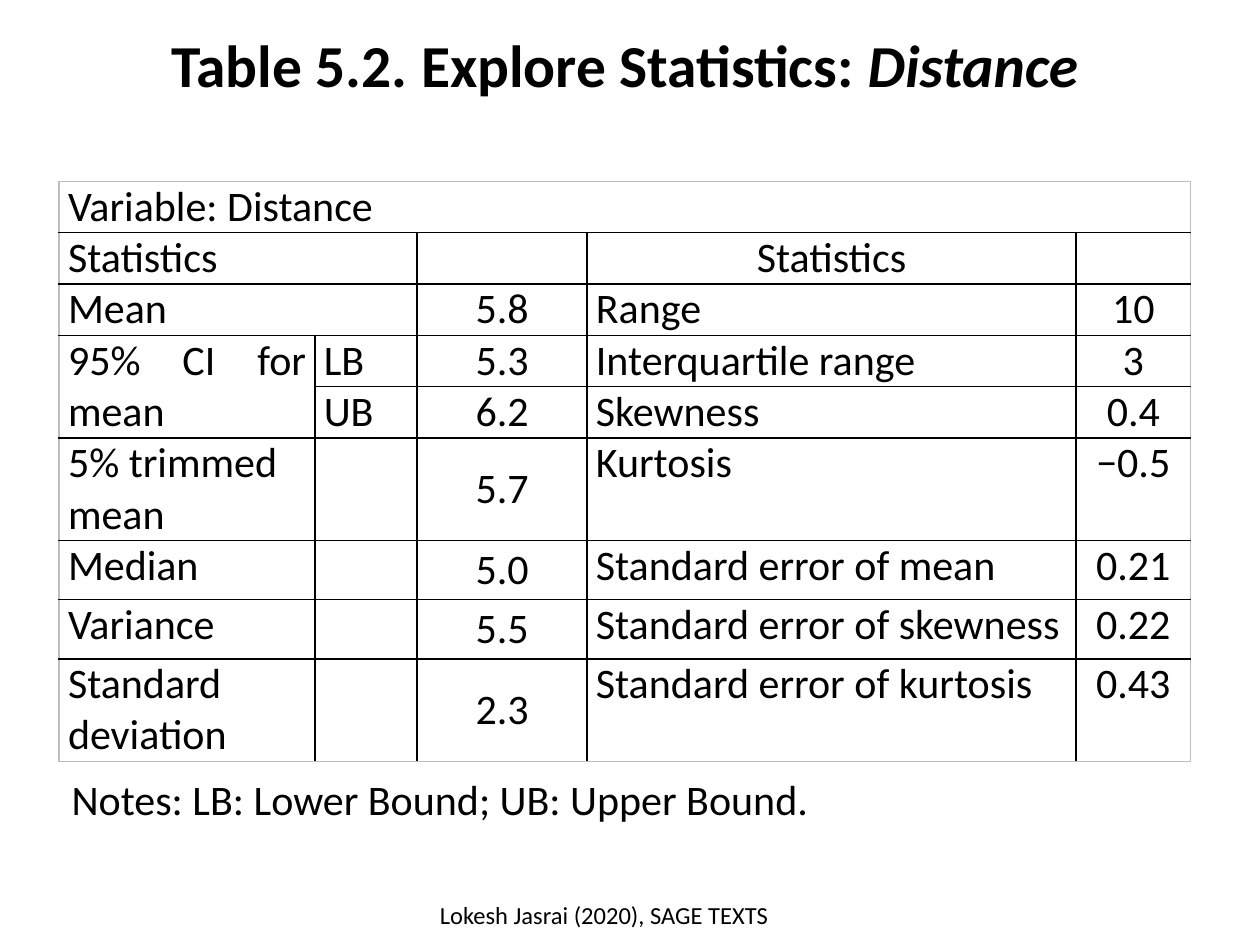
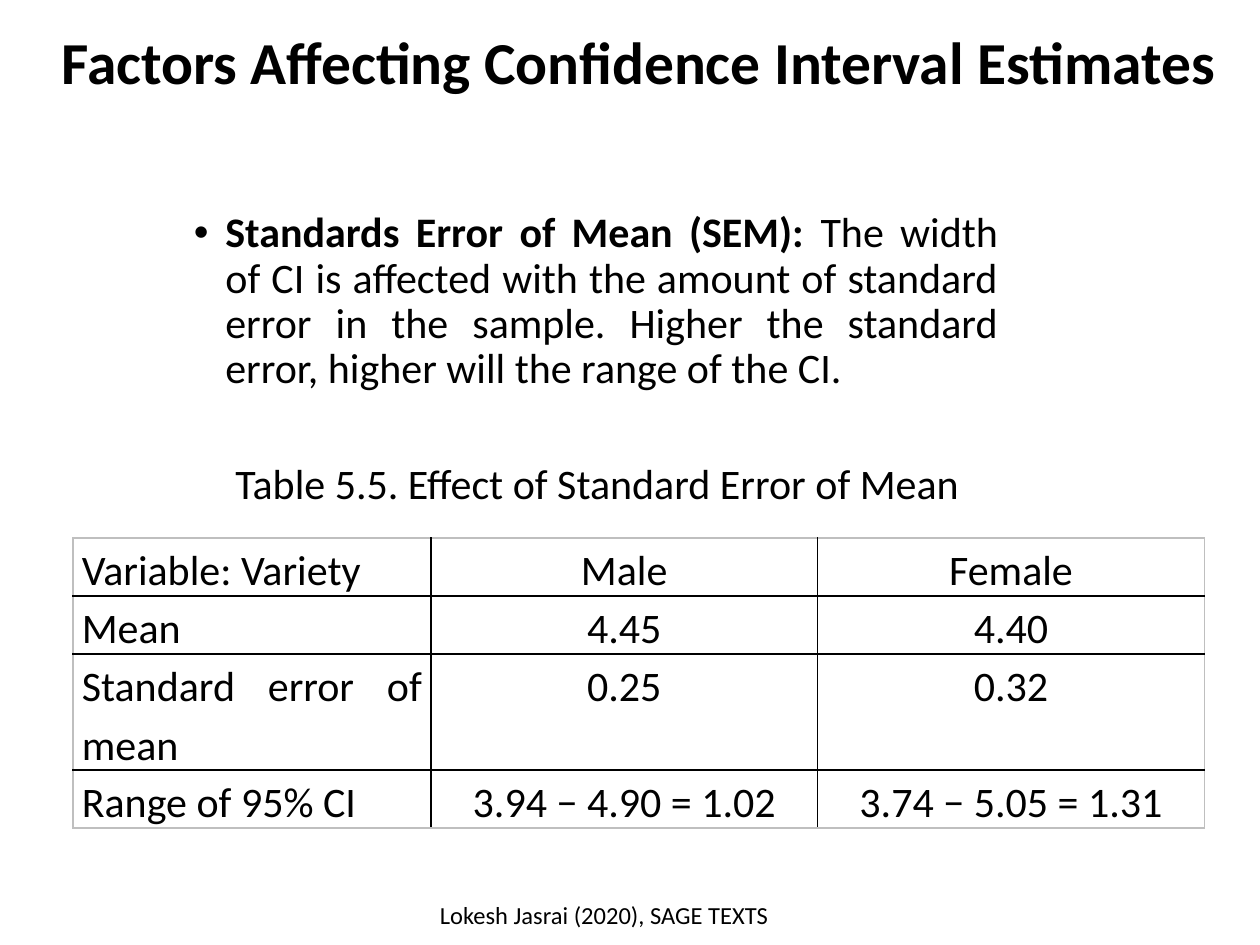
from dataclasses import dataclass, field

from lxml import etree
from pptx import Presentation
from pptx.dml.color import RGBColor
from pptx.enum.text import MSO_ANCHOR as ANCHOR, PP_ALIGN as ALIGN
from pptx.oxml.ns import qn
from pptx.util import Inches, Pt

FONT = "Calibri"
INK = "000000"
FRAME = "BFBFBF"
TITLE_SIZE, BODY_SIZE, FOOTER_SIZE = 34, 24, 14
FOOTER_TEXT = "Lokesh Jasrai (2020), SAGE TEXTS"


@dataclass
class Run:
    text: str
    bold: bool = False
    italic: bool = False


@dataclass
class Label:
    box: tuple[float, float, float, float]
    runs: list[Run]
    size: int = BODY_SIZE
    align: ALIGN = ALIGN.LEFT
    anchor: ANCHOR = ANCHOR.TOP
    wrap: bool = True
    line_spacing: float = 1.0
    bullet: bool = False


@dataclass
class Grid:
    left: float
    top: float
    cols: list[float]
    row_heights: list[float]
    rows: list[list[str]]
    aligns: list[ALIGN]
    line_spacing: float = 1.0
    middle_col: int | None = None
    merges: list[tuple[int, int, int, int]] = field(default_factory=list)
    align_overrides: dict[tuple[int, int], ALIGN] = field(default_factory=dict)


def color(value: str) -> RGBColor:
    return RGBColor.from_string(value)


def style_run(r, size: int, bold: bool = False, italic: bool = False) -> None:
    r.font.name = FONT
    r.font.size = Pt(size)
    r.font.bold = bold
    r.font.italic = italic
    r.font.color.rgb = color(INK)


def add_bullet(p) -> None:
    pPr = p._p.get_or_add_pPr()
    pPr.set("marL", str(Inches(0.25)))
    pPr.set("indent", str(-Inches(0.25)))
    etree.SubElement(pPr, qn("a:buFont"), typeface="Arial")
    etree.SubElement(pPr, qn("a:buChar"), char="•")


def add_label(s, label: Label) -> None:
    tf = s.shapes.add_textbox(*map(Inches, label.box)).text_frame
    tf.word_wrap = label.wrap
    tf.vertical_anchor = label.anchor
    p = tf.paragraphs[0]
    if label.bullet:
        add_bullet(p)
    p.alignment = label.align
    p.line_spacing = label.line_spacing
    for run in label.runs:
        r = p.add_run()
        r.text = run.text
        style_run(r, label.size, run.bold, run.italic)


def add_border(cell, side: str, line_color: str) -> None:
    ln = etree.SubElement(cell._tc.get_or_add_tcPr(), qn(f"a:ln{side}"), w=str(Pt(1)))
    fill = etree.SubElement(ln, qn("a:solidFill"))
    etree.SubElement(fill, qn("a:srgbClr"), val=line_color)


def add_grid(s, grid: Grid) -> None:
    n_rows, n_cols = len(grid.rows), len(grid.cols)
    table = s.shapes.add_table(
        n_rows, n_cols, Inches(grid.left), Inches(grid.top),
        Inches(sum(grid.cols)), Inches(sum(grid.row_heights)),
    ).table
    table.first_row = table.horz_banding = False
    for column, width in zip(table.columns, grid.cols):
        column.width = Inches(width)
    for row, height in zip(table.rows, grid.row_heights):
        row.height = Inches(height)
    for top, left, bottom, right in grid.merges:
        table.cell(top, left).merge(table.cell(bottom, right))

    for i, texts in enumerate(grid.rows):
        for j, text in enumerate(texts):
            cell = table.cell(i, j)
            if cell.is_spanned:
                continue
            width = cell.span_width if cell.is_merge_origin else 1
            height = cell.span_height if cell.is_merge_origin else 1
            outer = {"L": j == 0, "R": j + width == n_cols,
                     "T": i == 0, "B": i + height == n_rows}
            for side, on_frame in outer.items():
                add_border(cell, side, FRAME if on_frame else INK)
            cell.fill.background()
            cell.margin_left = cell.margin_right = Inches(0.07)
            cell.margin_top = cell.margin_bottom = 0
            if j == grid.middle_col:
                cell.vertical_anchor = ANCHOR.MIDDLE
            if text:
                cell.text_frame.text = text
                p = cell.text_frame.paragraphs[0]
                p.alignment = grid.align_overrides.get((i, j), grid.aligns[j])
                p.line_spacing = grid.line_spacing
                style_run(p.runs[0], BODY_SIZE)


def add_slide(prs, labels: list[Label], grid: Grid) -> None:
    s = prs.slides.add_slide(prs.slide_layouts[6])
    add_grid(s, grid)
    footer = Label((3.01, 7.09, 3.57, 0.4), [Run(FOOTER_TEXT)], FOOTER_SIZE, ALIGN.CENTER)
    for label in [*labels, footer]:
        add_label(s, label)


def add_explore_slide(prs) -> None:
    title = Label(
        (1.22, 0.17, 7.48, 0.67),
        [Run("Table 5.2. Explore Statistics: ", bold=True),
         Run("Distance", bold=True, italic=True)],
        TITLE_SIZE, ALIGN.CENTER, ANCHOR.MIDDLE, wrap=False,
    )
    notes = Label((0.47, 6.09, 6.1, 0.5),
                  [Run("Notes: LB: Lower Bound; UB: Upper Bound.")], wrap=False)
    statistics = Grid(
        0.47, 1.44,
        cols=[2.03, 0.81, 1.35, 3.88, 0.91],
        row_heights=[0.4] * 5 + [0.8, 0.47, 0.47, 0.8],
        rows=[
            ["Variable: Distance", "", "", "", ""],
            ["Statistics", "", "", "Statistics", ""],
            ["Mean", "", "5.8", "Range", "10"],
            ["95% CI for mean", "LB", "5.3", "Interquartile range", "3"],
            ["", "UB", "6.2", "Skewness", "0.4"],
            ["5% trimmed mean", "", "5.7", "Kurtosis", "−0.5"],
            ["Median", "", "5.0", "Standard error of mean", "0.21"],
            ["Variance", "", "5.5", "Standard error of skewness", "0.22"],
            ["Standard deviation", "", "2.3", "Standard error of kurtosis", "0.43"],
        ],
        aligns=[ALIGN.LEFT, ALIGN.LEFT, ALIGN.CENTER, ALIGN.LEFT, ALIGN.CENTER],
        middle_col=2,
        merges=[(0, 0, 0, 4), (1, 0, 1, 1), (2, 0, 2, 1), (3, 0, 4, 0)],
        align_overrides={(1, 3): ALIGN.CENTER, (3, 0): ALIGN.JUSTIFY},
    )
    add_slide(prs, [title, notes], statistics)


def add_factors_slide(prs) -> None:
    title = Label(
        (0.34, 0.21, 9.45, 0.59),
        [Run("Factors Affecting Confidence Interval Estimates", bold=True)],
        TITLE_SIZE, ALIGN.CENTER, line_spacing=0.9,
    )
    factor = Label(
        (1.44, 1.63, 6.58, 1.45),
        [Run("Standards Error of Mean (SEM):", bold=True),
         Run(" The width of CI is affected with the amount of standard error in the "
             "sample. Higher the standard error, higher will the range of the CI.")],
        align=ALIGN.JUSTIFY, line_spacing=0.9, bullet=True,
    )
    caption = Label((1.77, 3.58, 6.01, 0.5),
                    [Run("Table 5.5. Effect of Standard Error of Mean")],
                    anchor=ANCHOR.MIDDLE, wrap=False)
    effect = Grid(
        0.58, 4.27,
        cols=[2.84, 3.07, 3.07],
        row_heights=[0.46, 0.46, 0.92, 0.46],
        rows=[
            ["Variable: Variety", "Male", "Female"],
            ["Mean", "4.45", "4.40"],
            ["Standard error of mean", "0.25", "0.32"],
            ["Range of 95% CI", "3.94 − 4.90 = 1.02", "3.74 − 5.05 = 1.31"],
        ],
        aligns=[ALIGN.JUSTIFY, ALIGN.CENTER, ALIGN.CENTER],
        line_spacing=1.15,
    )
    add_slide(prs, [title, factor, caption], effect)


def main() -> None:
    prs = Presentation()
    prs.slide_width, prs.slide_height = Inches(10), Inches(7.5)
    add_explore_slide(prs)
    add_factors_slide(prs)
    prs.save("out.pptx")


if __name__ == "__main__":
    main()
